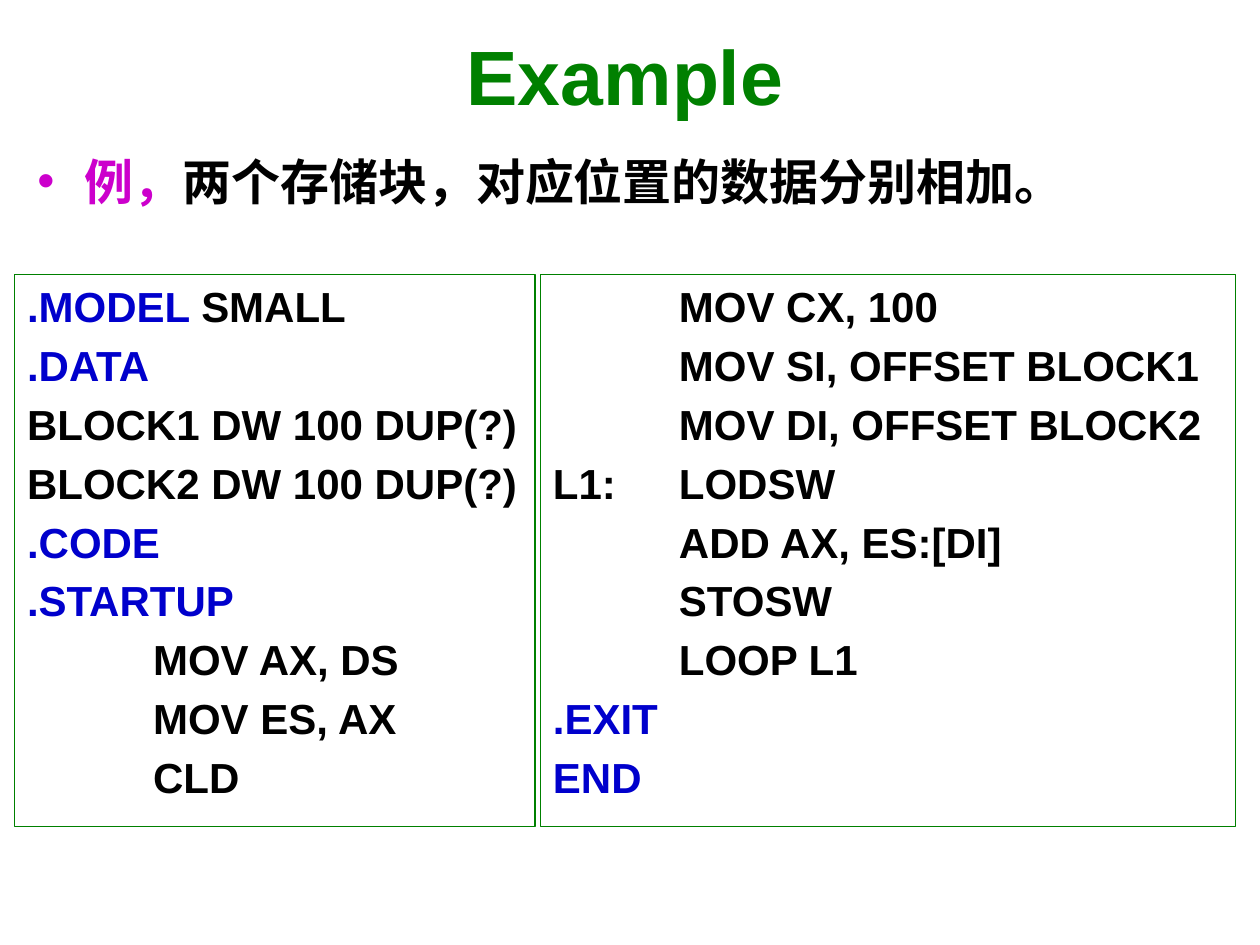
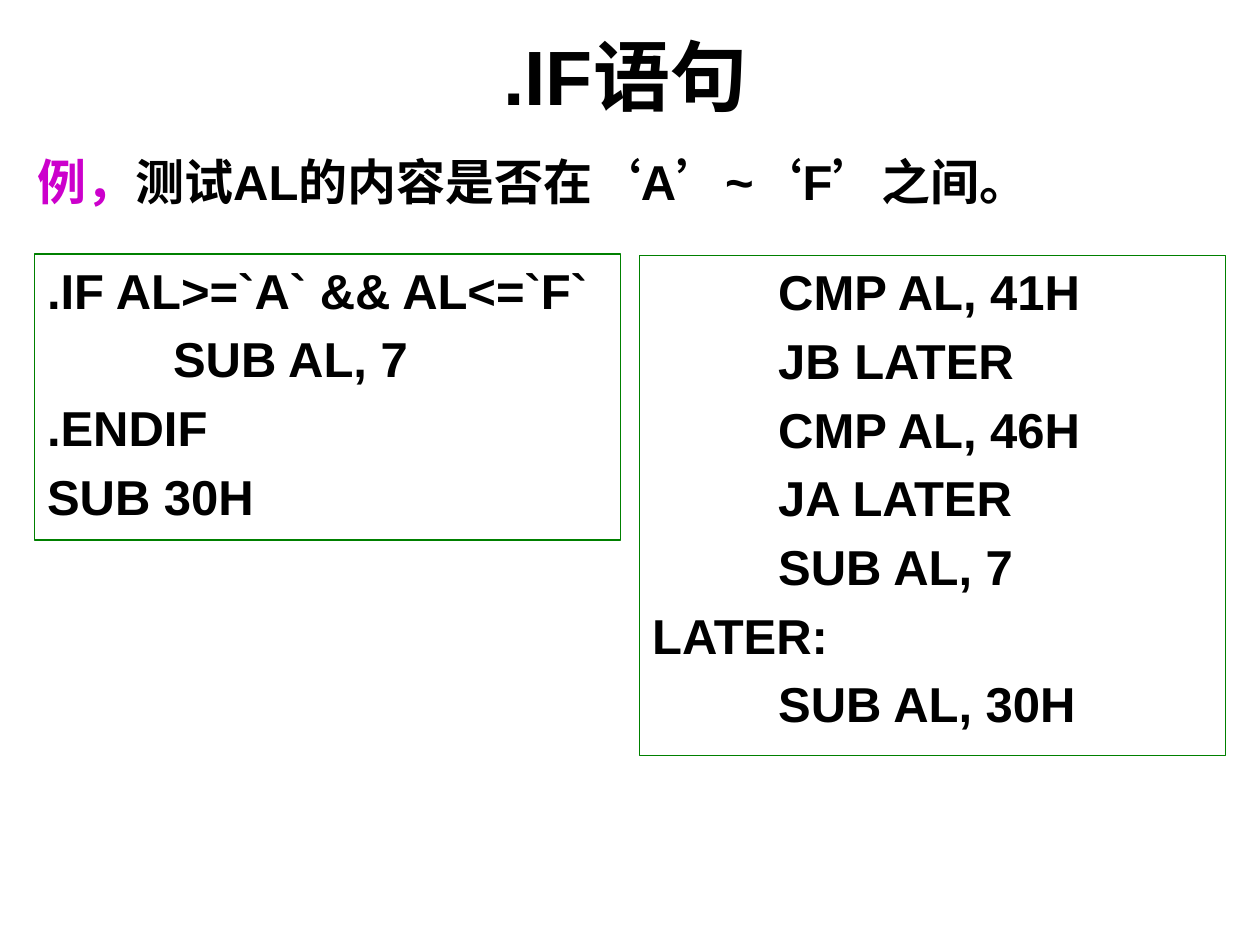
import pptx
import pptx.util
import pptx.dml.color
import pptx.enum.dml
import pptx.enum.lang
import pptx.enum.shapes
import pptx.enum.text
import pptx.oxml.ns
from lxml import etree

Pt = pptx.util.Pt
qn = pptx.oxml.ns.qn

GREEN, BLUE, PURPLE, BLACK = "008000", "0000CC", "CC00CC", "000000"
FONT = "Arial"
DIRECTIVES = [".MODEL ", ".DATA", ".CODE", ".STARTUP", ".EXIT", "END"]


def colour(hex_string):
    return pptx.dml.color.RGBColor.from_string(hex_string)


def write(para, parts, size):
    """Fill a paragraph with (text, colour) parts in the shared bold style."""
    for text, hex_string in parts:
        span = para.add_run()
        span.text = text
        span.font.name = FONT
        span.font.size = Pt(size)
        span.font.bold = True
        span.font.color.rgb = colour(hex_string)
        span.font.language_id = pptx.enum.lang.MSO_LANGUAGE_ID.SIMPLIFIED_CHINESE
    # Space before each paragraph is a fifth of the line
    para.space_before = Pt(0)
    spacing = para._p.pPr.find(qn("a:spcBef"))
    spacing.remove(spacing[0])
    etree.SubElement(spacing, qn("a:spcPct"), val="20000")


# Slide content: code boxes are (left, top, width, height, lines)
pages = [
    {
        "title": "Example", "title_colour": GREEN, "bullet": True,
        "lead": "两个存储块，对应位置的数据分别相加。", "code_size": 24,
        "boxes": [
            (8.4, 156.96, 297.36, 315.36, [
                ".MODEL SMALL", ".DATA", "BLOCK1 DW 100 DUP(?)",
                "BLOCK2 DW 100 DUP(?)", ".CODE", ".STARTUP",
                "\tMOV AX, DS", "\tMOV ES, AX", "\tCLD"]),
            (308.9, 156.96, 397.1, 315.36, [
                "\tMOV CX, 100", "\tMOV SI, OFFSET BLOCK1",
                "\tMOV DI, OFFSET BLOCK2 ", "L1:\tLODSW",
                "\tADD AX, ES:[DI]", "\tSTOSW", "\tLOOP L1", ".EXIT", "END"]),
        ],
    },
    {
        "title": ".IF语句", "title_colour": BLACK, "bullet": False,
        "lead": "测试AL的内容是否在‘A’~‘F’之间。", "code_size": 28,
        "boxes": [
            (19.8, 145.2, 334.8, 163.44, [
                ".IF AL>=`A` && AL<=`F`", "\tSUB AL, 7", ".ENDIF", "SUB 30H"]),
            (365.6, 146.1, 334.8, 285.84, [
                "\tCMP AL, 41H", "\tJB LATER", "\tCMP AL, 46H", "\tJA LATER",
                "\tSUB AL, 7", "LATER:", "\tSUB AL, 30H"]),
        ],
    },
]

deck = pptx.Presentation()
deck.slide_width, deck.slide_height = Pt(720), Pt(540)

for content in pages:
    page = deck.slides.add_slide(deck.slide_layouts[1])
    title, body = page.shapes.title, page.placeholders[1]

    # Title and lead sentence share one column
    for holder, top, height in [(title, 15.12, 55.44), (body, 82.8, 45.36)]:
        holder.left, holder.top = Pt(14.2), Pt(top)
        holder.width, holder.height = Pt(686.16), Pt(height)
        holder.text_frame.auto_size = pptx.enum.text.MSO_AUTO_SIZE.NONE
    title.text_frame.vertical_anchor = pptx.enum.text.MSO_ANCHOR.MIDDLE
    para = title.text_frame.paragraphs[0]
    para.alignment = pptx.enum.text.PP_ALIGN.CENTER
    write(para, [(content["title"], content["title_colour"])], 44)

    para = body.text_frame.paragraphs[0]
    write(para, [("例，", PURPLE), (content["lead"], BLACK)], 28)

    # Bullet and hanging indent
    properties = para._p.pPr
    indent = Pt(27) if content["bullet"] else 0
    properties.set("marL", str(indent))
    properties.set("indent", str(-indent))
    if content["bullet"]:
        etree.SubElement(properties, qn("a:buChar"), char="•")
    else:
        etree.SubElement(properties, qn("a:buNone"))

    # Code boxes
    for left, top, width, height, lines in content["boxes"]:
        box = page.shapes.add_shape(
            pptx.enum.shapes.MSO_SHAPE.RECTANGLE,
            Pt(left), Pt(top), Pt(width), Pt(height))
        box.shadow.inherit = False
        box.fill.background()
        box.line.color.rgb = colour(GREEN)
        box.line.width = Pt(0.75)
        frame = box.text_frame
        frame.word_wrap = True
        frame.vertical_anchor = pptx.enum.text.MSO_ANCHOR.TOP
        frame.auto_size = pptx.enum.text.MSO_AUTO_SIZE.SHAPE_TO_FIT_TEXT
        for number, line in enumerate(lines):
            para = frame.add_paragraph() if number else frame.paragraphs[0]
            para.alignment = pptx.enum.text.PP_ALIGN.LEFT
            directive = next((d for d in DIRECTIVES if line.startswith(d)), "")
            parts = [(directive, BLUE), (line[len(directive):], BLACK)]
            write(para, [part for part in parts if part[0]], content["code_size"])
            # Instructions line up at one tab stop
            stops = etree.SubElement(para._p.pPr, qn("a:tabLst"))
            etree.SubElement(stops, qn("a:tab"), pos=str(Pt(72)), algn="l")

deck.save("out.pptx")
